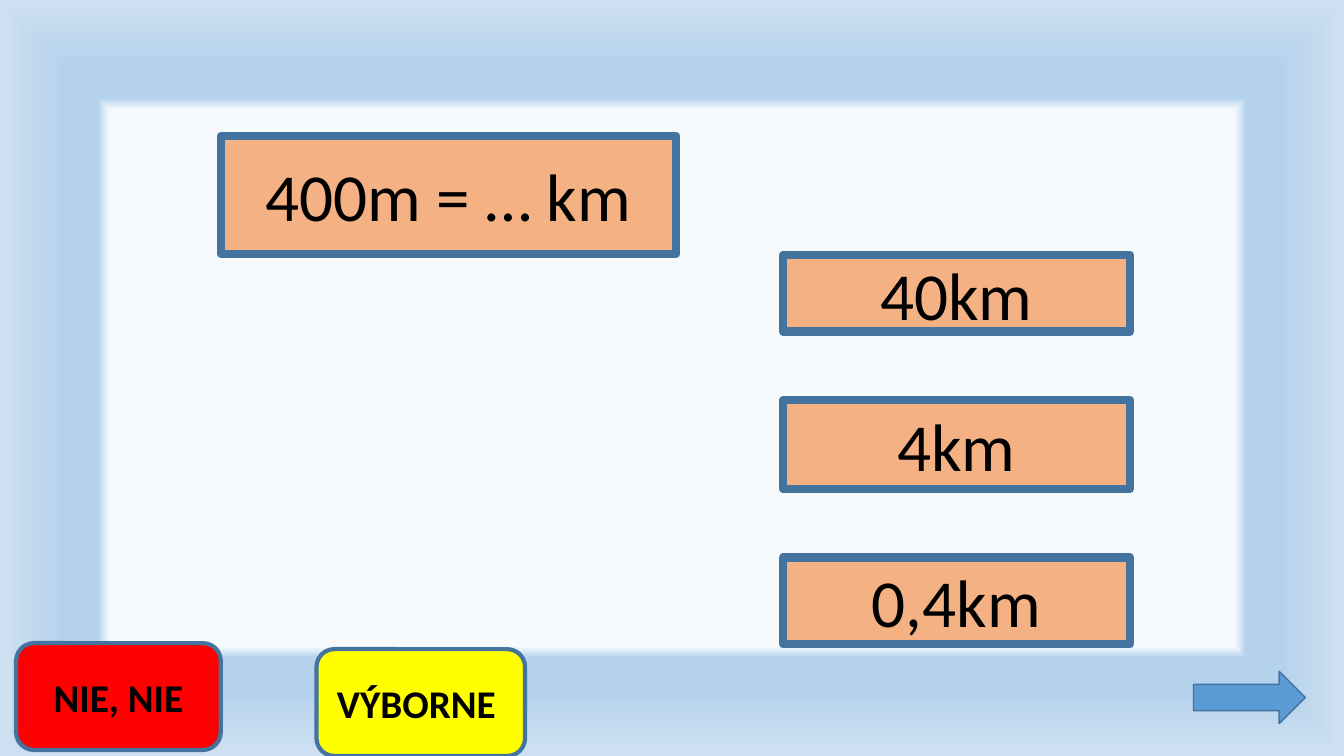
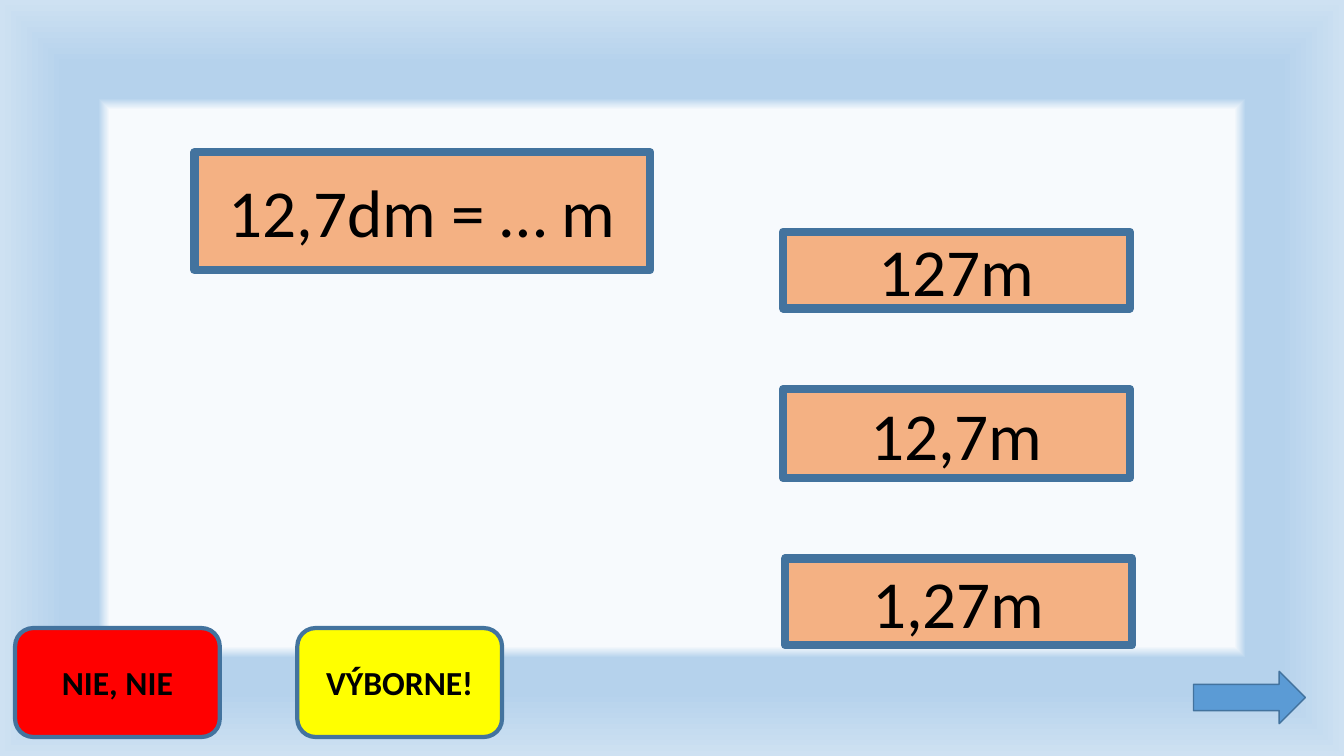
"""Build two unit-conversion quiz slides."""
from lxml import etree
from pptx import Presentation
from pptx.dml.color import RGBColor
from pptx.enum import shapes, text
from pptx.oxml import ns, parse_xml
from pptx.util import Pt

ORANGE = RGBColor(0xF4, 0xB1, 0x83)
BORDER = RGBColor(0x43, 0x73, 0x9E)
RED = RGBColor(0xFF, 0x00, 0x00)
YELLOW = RGBColor(0xFF, 0xFF, 0x00)
BLUE = RGBColor(0x5B, 0x9B, 0xD5)
BLACK = RGBColor(0x00, 0x00, 0x00)
PALE = RGBColor(0xF7, 0xFA, 0xFD)
SKY = RGBColor(0xB5, 0xD2, 0xEC)
MIST = RGBColor(0xCE, 0xE1, 0xF2)
BG_STOPS = [(71, PALE), (74, SKY), (83, SKY), (100, MIST)]

RECT = shapes.MSO_SHAPE.RECTANGLE
ROUND = shapes.MSO_SHAPE.ROUNDED_RECTANGLE
ARROW = shapes.MSO_SHAPE.RIGHT_ARROW

QUESTION_SIZE = (325.4, 84.2)
ANSWER_WIDTH = 247.7
ANSWER_HEIGHTS = (54.7, 63.4, 61.9)

QUIZ = [
    {
        "question": ("400m = … km", 157.7, 97.2),
        "answers": [("40km", 559.4, 182.2), ("4km", 559.4, 285.8),
                    ("0,4km", 559.4, 398.2)],
        "buttons": [("NIE, NIE", RED, (11.5, 459.4, 146.2, 76.3)),
                    ("VÝBORNE ", YELLOW, (226.1, 463.7, 149, 76.3))],
        "button_size": 28,
    },
    {
        "question": ("12,7dm = … m", 139, 108.7),
        "answers": [("127m", 559.4, 165.6), ("12,7m", 559.4, 277.9),
                    ("1,27m", 560.9, 398.9)],
        "buttons": [("NIE, NIE", RED, (10.8, 448.6, 146.2, 77.8)),
                    ("VÝBORNE!", YELLOW, (212.4, 448.6, 146.2, 77.8))],
        "button_size": 24,
    },
]


def set_background(s):
    """Fill the slide with the shared frame-like gradient."""
    s.background.fill.solid()
    solid = s.element.xpath(".//p:bgPr/a:solidFill")[0]
    grad = parse_xml(f'<a:gradFill {ns.nsdecls("a")} rotWithShape="1"/>')
    stops = etree.SubElement(grad, ns.qn("a:gsLst"))
    for position, color in BG_STOPS:
        stop = etree.SubElement(stops, ns.qn("a:gs"), pos=str(position * 1000))
        etree.SubElement(stop, ns.qn("a:srgbClr"), val=str(color))
    focus = etree.SubElement(grad, ns.qn("a:path"))
    focus.set("path", "shape")
    sides = dict.fromkeys("ltrb", "50000")
    etree.SubElement(focus, ns.qn("a:fillToRect"), **sides)
    solid.getparent().replace(solid, grad)


def add_block(s, kind, box, fill, line_width):
    """Add a filled, outlined shape without a shadow."""
    sp = s.shapes.add_shape(kind, *map(Pt, box))
    sp.shadow.inherit = False
    sp.fill.solid()
    sp.fill.fore_color.rgb = fill
    sp.line.color.rgb = BORDER
    sp.line.width = Pt(line_width)
    return sp


def write_label(sp, label, size, bold=False):
    """Write one centred line of black text in a shape."""
    tf = sp.text_frame
    tf.word_wrap = True
    tf.vertical_anchor = text.MSO_ANCHOR.MIDDLE
    p = tf.paragraphs[0]
    p.alignment = text.PP_ALIGN.CENTER
    r = p.add_run()
    r.text = label
    r.font.color.rgb = BLACK
    for name, value in {"name": "Calibri", "size": Pt(size), "bold": bold}.items():
        setattr(r.font, name, value)


def add_card(s, label, box):
    """Add an orange question or answer card."""
    write_label(add_block(s, RECT, box, ORANGE, 6), label, 48)


def add_button(s, label, fill, box, size):
    """Add a rounded feedback button."""
    write_label(add_block(s, ROUND, box, fill, 3), label, size, bold=True)


def add_quiz_slide(prs, quiz):
    """Add one question with its answers, feedback and next arrow."""
    s = prs.slides.add_slide(prs.slide_layouts[6])
    set_background(s)
    label, left, top = quiz["question"]
    add_card(s, label, (left, top, *QUESTION_SIZE))
    for (label, left, top), height in zip(quiz["answers"], ANSWER_HEIGHTS):
        add_card(s, label, (left, top, ANSWER_WIDTH, height))
    for label, fill, box in quiz["buttons"]:
        add_button(s, label, fill, box, quiz["button_size"])
    add_block(s, ARROW, (852.5, 479.5, 79.9, 37.4), BLUE, 1)


def main():
    """Build and save the presentation."""
    prs = Presentation()
    prs.slide_width, prs.slide_height = Pt(960), Pt(540)
    for quiz in QUIZ:
        add_quiz_slide(prs, quiz)
    prs.save("out.pptx")


if __name__ == "__main__":
    main()
